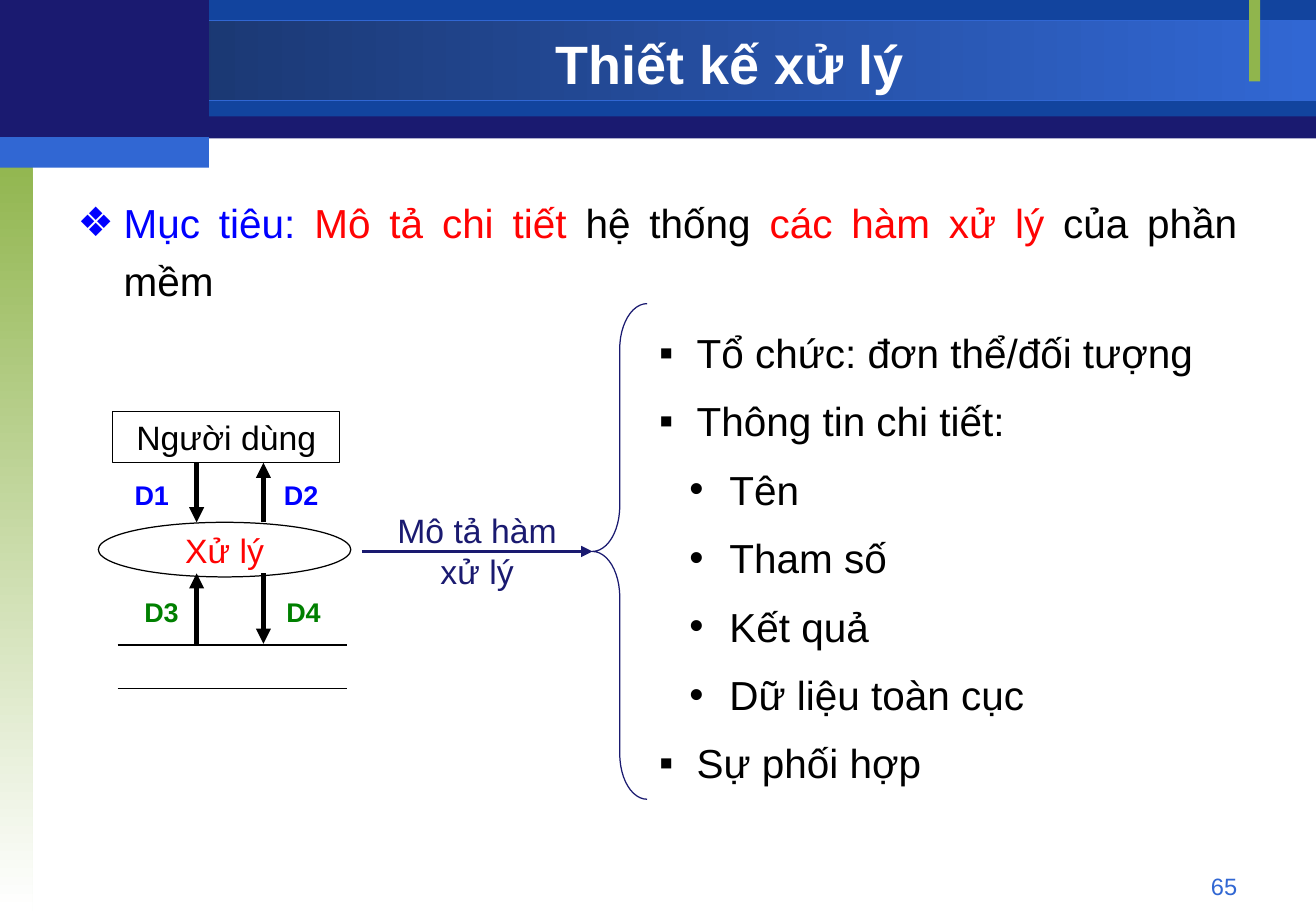
"""Build the "Thiết kế xử lý" slide on a grid of tenth-of-an-inch columns and rows."""
from typing import NamedTuple, Optional

from lxml import etree
from pptx import Presentation
from pptx import util as u
from pptx.dml.color import RGBColor
from pptx.enum import shapes, text
from pptx.oxml.ns import qn

CELL = u.Inches(0.1)
COLS, ROWS = 108.4, 75
FONT = "Arial"

NAVY = RGBColor(0x1A, 0x1A, 0x70)
ROYAL = RGBColor(0x12, 0x44, 0x9E)
STEEL = RGBColor(0x17, 0x30, 0x62)
SKY = RGBColor(0x31, 0x67, 0xD3)
LIME = RGBColor(0x90, 0xB5, 0x4D)
WHITE = RGBColor(0xFF, 0xFF, 0xFF)
BLACK = RGBColor(0, 0, 0)
BLUE = RGBColor(0, 0, 0xFF)
RED = RGBColor(0xFF, 0x03, 0x03)
GREEN = RGBColor(0, 0x80, 0)

RECT = shapes.MSO_SHAPE.RECTANGLE
LEFT, CENTER, RIGHT, JUSTIFY = (
    text.PP_ALIGN.LEFT, text.PP_ALIGN.CENTER, text.PP_ALIGN.RIGHT, text.PP_ALIGN.JUSTIFY)


class Area(NamedTuple):
    col: float
    row: float
    cols: float
    rows: float


class Panel(NamedTuple):
    area: Area
    fill: RGBColor
    fade: Optional[RGBColor] = None
    angle: float = 0
    edge: Optional[RGBColor] = None


class Line(NamedTuple):
    x1: float
    y1: float
    x2: float
    y2: float
    color: RGBColor = BLACK
    width: float = 0.75
    arrow: bool = False


class Run(NamedTuple):
    words: str
    color: RGBColor = BLACK


class Bullet(NamedTuple):
    mark: str
    color: RGBColor
    margin: float
    hang: float


class Para(NamedTuple):
    runs: list[Run]
    bullet: Optional[Bullet] = None


class Label(NamedTuple):
    area: Area
    paras: list[Para]
    size: float
    align: text.PP_ALIGN = LEFT
    bold: bool = False
    wrap: bool = True
    middle: bool = False


class Node(NamedTuple):
    kind: shapes.MSO_SHAPE
    label: Label


def grid(*cells: float) -> list[int]:
    return [round(c * CELL) for c in cells]


def plain(words: str, color: RGBColor) -> list[Para]:
    return [Para([Run(words, color)])]


def add_outline(s, kind: shapes.MSO_SHAPE, area: Area, color: RGBColor):
    sp = s.shapes.add_shape(kind, *grid(*area))
    sp.shadow.inherit = False
    sp.fill.background()
    sp.line.color.rgb = color
    sp.line.width = u.Pt(0.75)
    return sp


def add_panel(s, panel: Panel) -> None:
    sp = add_outline(s, RECT, panel.area, panel.edge or panel.fill)
    if panel.edge is None:
        sp.line.fill.background()
    if panel.fade is None:
        sp.fill.solid()
        sp.fill.fore_color.rgb = panel.fill
        return
    sp.fill.gradient()
    sp.fill.gradient_angle = panel.angle
    for stop, color in zip(sp.fill.gradient_stops, (panel.fill, panel.fade)):
        stop.color.rgb = color


def add_line(s, line: Line):
    cx = s.shapes.add_connector(
        shapes.MSO_CONNECTOR.STRAIGHT, *grid(line.x1, line.y1, line.x2, line.y2))
    cx.line.color.rgb = line.color
    cx.line.width = u.Pt(line.width)
    if line.arrow:
        etree.SubElement(cx.line._get_or_add_ln(), qn("a:tailEnd"), type="triangle")
    etree.SubElement(cx._element.spPr, qn("a:effectLst"))
    return cx


def set_bullet(p, bullet: Bullet) -> None:
    pPr = p._p.get_or_add_pPr()
    pPr.set("marL", str(grid(bullet.margin)[0]))
    pPr.set("indent", str(-grid(bullet.hang)[0]))
    clr = etree.SubElement(pPr, qn("a:buClr"))
    etree.SubElement(clr, qn("a:srgbClr"), val=str(bullet.color))
    etree.SubElement(pPr, qn("a:buFont"), typeface=FONT)
    etree.SubElement(pPr, qn("a:buChar"), char=bullet.mark)


def write(sp, label: Label) -> None:
    tf = sp.text_frame
    tf.word_wrap = label.wrap
    tf.vertical_anchor = text.MSO_ANCHOR.MIDDLE if label.middle else text.MSO_ANCHOR.TOP
    for i, para in enumerate(label.paras):
        p = tf.add_paragraph() if i else tf.paragraphs[0]
        p.alignment = label.align
        if para.bullet:
            set_bullet(p, para.bullet)
            p.line_spacing = 1.2
        if i:
            p.space_before = u.Pt(6)
        for run in para.runs:
            r = p.add_run()
            r.text = run.words
            r.font.name = FONT
            r.font.size = u.Pt(label.size)
            r.font.bold = label.bold
            r.font.color.rgb = run.color


def add_label(s, label: Label) -> None:
    write(s.shapes.add_textbox(*grid(*label.area)), label)


def add_node(s, node: Node) -> None:
    write(add_outline(s, node.kind, node.label.area, BLACK), node.label)


PANELS = [
    Panel(Area(0, 0.1, COLS, 11.3), NAVY),
    Panel(Area(17.2, 0, 91.2, 9.6), ROYAL),
    Panel(Area(0, 1.7, COLS, 6.6), STEEL, SKY, 0, SKY),
    Panel(Area(0, 12.5, 2.7, 62.5), LIME, WHITE, 270),
    Panel(Area(102.9, 0, 0.9, 6.7), LIME),
    Panel(Area(0, 0, 17.2, 11.7), NAVY),
    Panel(Area(0, 11.3, 17.2, 2.5), SKY),
]
GOAL = Para([Run("Mục tiêu: ", BLUE), Run("Mô tả chi tiết", RED), Run(" hệ thống "),
             Run("các hàm xử lý", RED), Run(" của phần mềm")], Bullet("❖", BLUE, 3.8, 3.8))
SQUARE = Bullet("▪", BLACK, 3.1, 3.1)
DOT = Bullet("•", BLACK, 5.8, 3.3)
DETAILS = [("Tổ chức: đơn thể/đối tượng", SQUARE), ("Thông tin chi tiết:", SQUARE),
           ("Tên", DOT), ("Tham số", DOT), ("Kết quả", DOT), ("Dữ liệu toàn cục", DOT),
           ("Sự phối hợp", SQUARE)]
FLOWS = [("D1", 10.1, 38.9, BLUE), ("D2", 22.4, 38.9, BLUE),
         ("D3", 10.9, 48.5, GREEN), ("D4", 22.6, 48.5, GREEN)]
LABELS = [
    Label(Area(77.6, 71.3, 25.3, 2.7), plain("65", SKY), 14, RIGHT),
    Label(Area(17.2, 2.3, 85.8, 5.8), plain("Thiết kế xử lý", WHITE), 32, CENTER, True, middle=True),
    Label(Area(5.4, 15, 97.5, 55), [GOAL], 24, JUSTIFY),
    Label(Area(30.7, 41.5, 17.2, 7.7), plain("Mô tả hàm xử lý", NAVY), 20, CENTER),
    Label(Area(53.3, 25.7, 51.5, 39.6), [Para([Run(w)], b) for w, b in DETAILS], 24),
    *(Label(Area(x, y, 4.8, 3.7), plain(w, c), 16, bold=True, wrap=False) for w, x, y, c in FLOWS),
]
NODES = [
    Node(RECT, Label(Area(9.3, 33.9, 18.7, 4.2), plain("Người dùng", BLACK), 20, CENTER,
                     wrap=False, middle=True)),
    Node(shapes.MSO_SHAPE.OVAL, Label(Area(8.1, 43, 20.8, 4.5), plain("Xử lý", RED), 20, CENTER,
                                      wrap=False, middle=True)),
]
LINES = [
    *(Line(9.7, y, 28.6, y) for y in (53.1, 56.7)),
    *(Line(x, y1, x, y2, width=3, arrow=True) for x, y1, y2 in (
        (16.2, 38.1, 43), (21.7, 43, 38.1), (16.2, 53, 47.2), (21.7, 47.2, 53))),
]


def main() -> None:
    prs = Presentation()
    prs.slide_width, prs.slide_height = grid(COLS, ROWS)
    s = prs.slides.add_slide(prs.slide_layouts[6])
    for panel in PANELS:
        add_panel(s, panel)
    for line in LINES:
        add_line(s, line)
    for node in NODES:
        add_node(s, node)
    brace = add_outline(s, shapes.MSO_SHAPE.LEFT_BRACE, Area(48.8, 25, 4.5, 40.8), NAVY)
    brace.adjustments[0] = 0.83
    add_line(s, Line(29.8, 45.4, 48.8, 45.4, NAVY, 2.25, True)).end_connect(brace, 1)
    for label in LABELS:
        add_label(s, label)
    prs.save("out.pptx")


if __name__ == "__main__":
    main()
